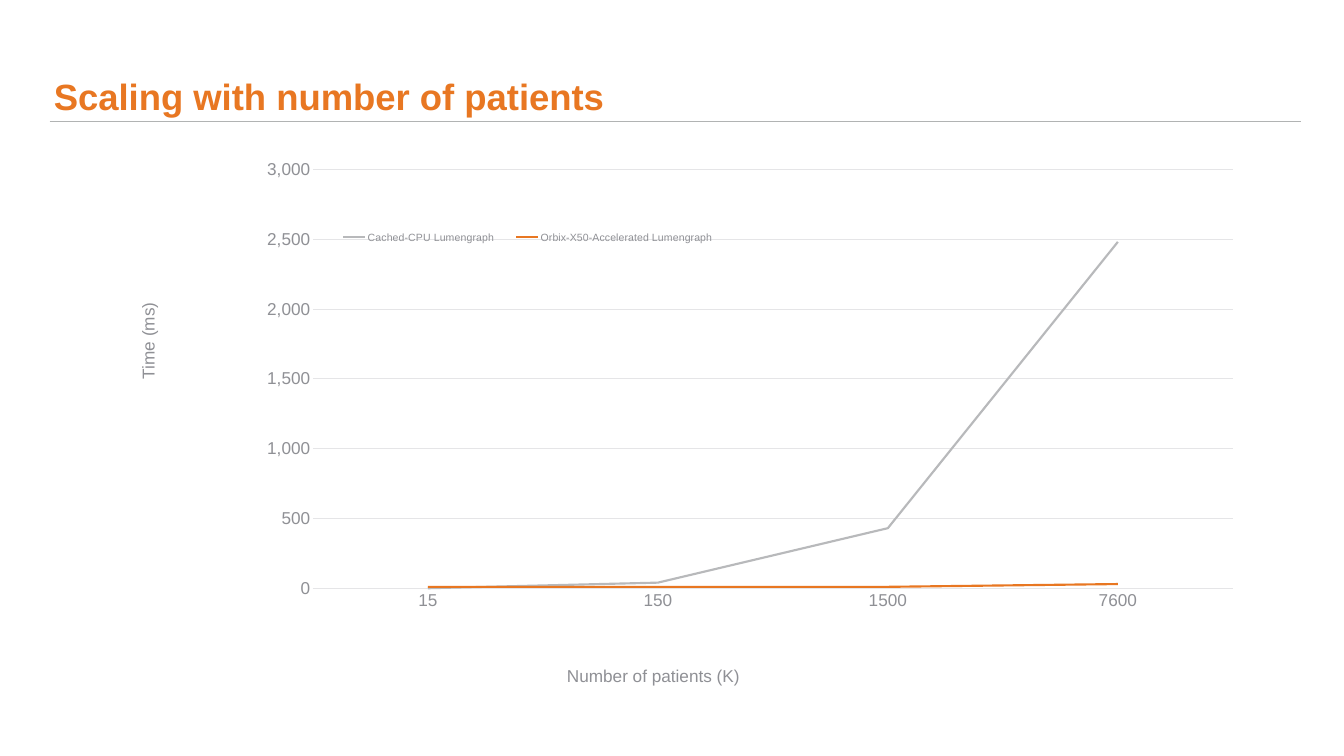
from lxml.etree import SubElement, fromstring
from pptx import Presentation
from pptx.chart.data import CategoryChartData
from pptx.dml.color import RGBColor
from pptx.enum.chart import XL_CHART_TYPE, XL_LEGEND_POSITION, XL_TICK_MARK
from pptx.enum.shapes import MSO_CONNECTOR
from pptx.enum.text import MSO_ANCHOR, MSO_AUTO_SIZE, PP_ALIGN
from pptx.oxml.ns import qn
from pptx.util import Inches, Pt

FONT = "Arial"
ORANGE, SILVER, GREY, DARK, PALE, RULE = (
    "E87722", "B8B9BB", "8F9095", "55565A", "E5E5E7", "B1B3B3")
NUMBER = "#,##0"


def rgb(value):
    return RGBColor.from_string(value)


def style_font(font, size, color, bold=False):
    font.name, font.size, font.bold = FONT, Pt(size), bold
    font.color.rgb = rgb(color)


def style_line(line, color, width):
    line.color.rgb = rgb(color)
    line.width = Pt(width)


def place(parent, index, x, y, w=None, h=None, inner=False):
    """Give a chart part a manual layout in shares of the chart's size."""
    for old in parent.findall(qn("c:layout")):
        parent.remove(old)
    layout = fromstring('<c:layout xmlns:c="http://schemas.openxmlformats.org/'
                        'drawingml/2006/chart"/>')
    manual = SubElement(layout, qn("c:manualLayout"))
    items = [("layoutTarget", "inner")] if inner else []
    items += [("xMode", "edge"), ("yMode", "edge"), ("x", x), ("y", y)]
    items += [("w", w), ("h", h)] if w else []
    for tag, value in items:
        SubElement(manual, qn("c:" + tag)).set("val", str(value))
    parent.insert(index, layout)


class Deck:
    """Slide builder; lengths are shares of the slide's width and height."""

    def __init__(self, width, height):
        self.prs = Presentation()
        self.prs.slide_width, self.prs.slide_height = Inches(width), Inches(height)
        self.s = self.prs.slides.add_slide(self.prs.slide_layouts[5])

    def box(self, x, y, w, h):
        W, H = self.prs.slide_width, self.prs.slide_height
        return int(x * W), int(y * H), int(w * W), int(h * H)

    def title(self, text, *area):
        sp = self.s.shapes.title
        sp.left, sp.top, sp.width, sp.height = self.box(*area)
        tf = sp.text_frame
        tf.margin_left = tf.margin_top = tf.margin_right = tf.margin_bottom = 0
        tf.vertical_anchor, tf.word_wrap = MSO_ANCHOR.BOTTOM, True
        tf.auto_size = MSO_AUTO_SIZE.NONE
        p = tf.paragraphs[0]
        p.alignment, p.line_spacing = PP_ALIGN.LEFT, 0.9
        r = p.add_run()
        r.text = text
        style_font(r.font, 38.2, ORANGE, bold=True)

    def rule(self, x, y, w):
        left, top, width, _ = self.box(x, y, w, 0)
        line = self.s.shapes.add_connector(
            MSO_CONNECTOR.STRAIGHT, left, top, left + width, top)
        style_line(line.line, RULE, 1)
        SubElement(line.element.spPr, qn("a:effectLst"))

    def axis(self, axis, title, x, y):
        axis.major_tick_mark = axis.minor_tick_mark = XL_TICK_MARK.NONE
        labels = axis.tick_labels
        labels.number_format, labels.number_format_is_linked = NUMBER, False
        style_font(labels.font, 18, GREY)
        r = axis.axis_title.text_frame.paragraphs[0].add_run()
        r.text = title
        style_font(r.font, 18, GREY)
        place(axis.axis_title.element, 1, x, y)

    def line_chart(self, categories, series, *area):
        data = CategoryChartData(number_format=NUMBER)
        data.categories = categories
        for name, values, _ in series:
            data.add_series(name, values)
        chart = self.s.shapes.add_chart(
            XL_CHART_TYPE.LINE, *self.box(*area), data).chart
        style_font(chart.font, 18, DARK)
        chart.has_title = False
        chart.plots[0].vary_by_categories = False
        for line, (_, _, color) in zip(chart.plots[0].series, series):
            line.smooth = False
            style_line(line.format.line, color, 2.25)

        # Axes and gridlines
        cat, val = chart.category_axis, chart.value_axis
        self.axis(cat, "Number of patients (K)", 0.41, 0.93)
        self.axis(val, "Time (ms)", 0.05, 0.29)
        style_line(cat.format.line, PALE, 0.75)
        val.format.line.fill.background()
        val.minimum_scale, val.maximum_scale, val.major_unit = 0, 3000, 500
        style_line(val.major_gridlines.format.line, PALE, 0.75)

        # Legend inside the plot area
        chart.has_legend = True
        chart.legend.position = XL_LEGEND_POSITION.RIGHT
        chart.legend.include_in_layout = False
        style_font(chart.legend.font, 11, GREY)
        place(chart.element.xpath(".//c:legend")[0], 1, 0.21, 0.15, 0.34, 0.06)
        place(chart.element.xpath(".//c:plotArea")[0], 0,
              0.2, 0.06, 0.77, 0.74, inner=True)


def main():
    deck = Deck(19.56, 11)
    # Heading
    deck.rule(0.037, 0.161, 0.931)
    deck.title("Scaling with number of patients", 0.04, 0, 0.93, 0.156)
    # Timing chart
    deck.line_chart(
        [15, 150, 1500, 7600],
        [("Cached-CPU Lumengraph", [0, 40, 430, 2480], SILVER),
         ("Orbix-X50-Accelerated Lumengraph", [10, 10, 10, 30], ORANGE)],
        0.055, 0.179, 0.889, 0.749)
    deck.prs.save("out.pptx")


if __name__ == "__main__":
    main()
